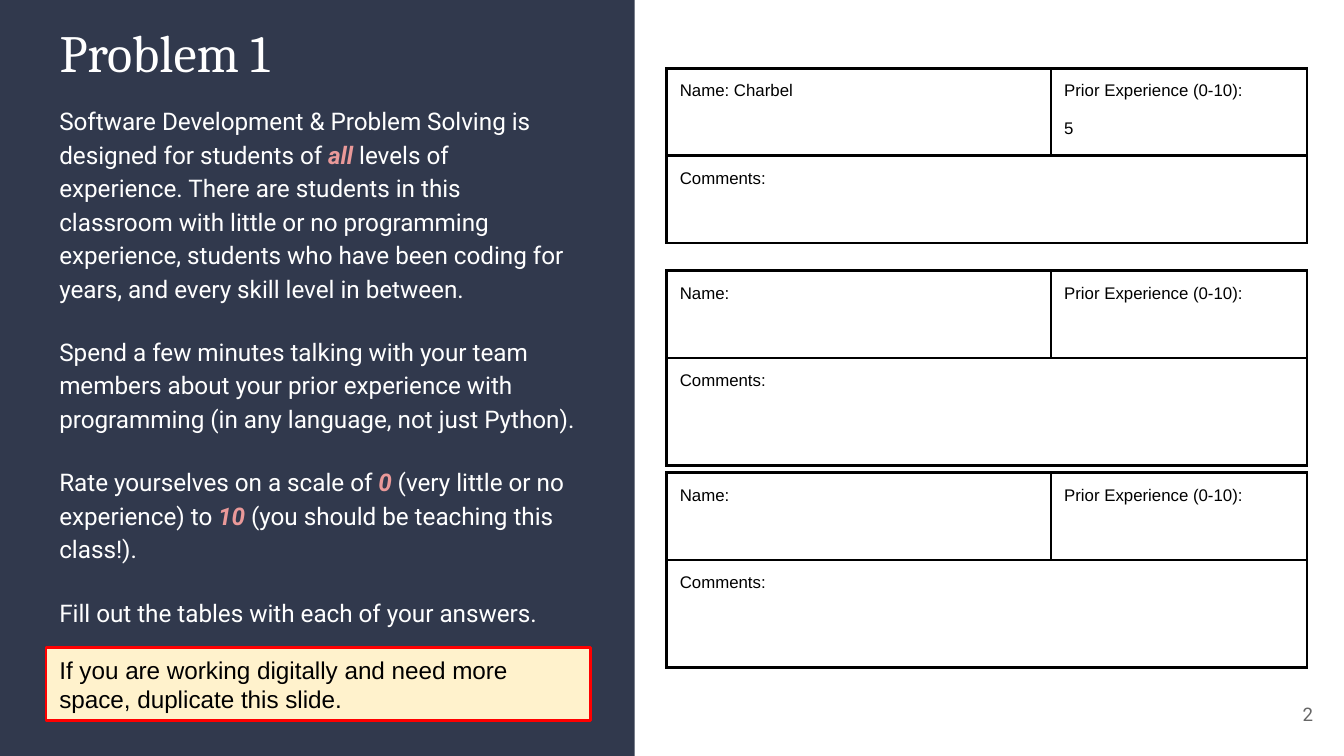
from lxml.etree import SubElement
from pptx import Presentation
from pptx.dml.color import RGBColor
from pptx.enum.shapes import MSO_SHAPE as SHAPE
from pptx.enum.text import MSO_ANCHOR as ANCHOR, MSO_AUTO_SIZE as AUTO, PP_ALIGN as ALIGN
from pptx.oxml import parse_xml
from pptx.oxml.ns import nsdecls, qn
from pptx.util import Pt

NAVY, WHITE, BLACK, PINK = "31394D", "FFFFFF", "000000", "EA9999"
CREAM, RED, GRAY = "FFF2CC", "FF0000", "666666"
INSET = 7.2

# Paragraphs are lists of (text, emphasized) pairs
BODY = [
    [("Software Development & Problem Solving is designed for students of ", False),
     ("all ", True),
     ("levels of experience. There are students in this classroom with little or no "
      "programming experience, students who have been coding for years, and every "
      "skill level in between.", False)],
    [("Spend a few minutes talking with your team members about your prior experience "
      "with programming (in any language, not just Python).", False)],
    [("Rate yourselves on a scale of ", False), ("0", True),
     (" (very little or no experience) to ", False), ("10", True),
     (" (you should be teaching this class!).", False)],
    [("Fill out the tables with each of your answers.", False)],
]

# Name, experience and height of the comments row
CARDS = [("Charbel", "5", 46.8), ("", "", 57.6), ("", "", 57.6)]


def rgb(color):
    return RGBColor.from_string(color)


def add_run(p, text, font="Arial", size=13, color=BLACK, bold=False, italic=False):
    r = p.add_run()
    r.text = text
    r.font.name, r.font.size = font, Pt(size)
    r.font.color.rgb = rgb(color)
    r.font.bold, r.font.italic = bold, italic


def set_frame(tf, anchor=ANCHOR.TOP):
    tf.word_wrap = True
    tf.auto_size = AUTO.NONE
    tf.vertical_anchor = anchor
    tf.margin_left = tf.margin_right = tf.margin_top = tf.margin_bottom = Pt(INSET)
    return tf


def add_box(slide, box, fill, line=None):
    sp = slide.shapes.add_shape(SHAPE.RECTANGLE, *map(Pt, box))
    sp.shadow.inherit = False
    sp.fill.solid()
    sp.fill.fore_color.rgb = rgb(fill)
    if line:
        sp.line.color.rgb = rgb(line)
        sp.line.width = Pt(1.5)
    else:
        sp.line.fill.background()
    return sp


def add_title(slide, box, text):
    sp = slide.shapes.title
    sp.left, sp.top, sp.width, sp.height = map(Pt, box)
    p = set_frame(sp.text_frame).paragraphs[0]
    p.alignment = ALIGN.LEFT
    add_run(p, text, font="Cambria", size=28, color=WHITE)


def add_body(slide, box):
    tf = set_frame(slide.shapes.add_textbox(*map(Pt, box)).text_frame)
    for i, parts in enumerate(BODY):
        p = tf.add_paragraph() if i else tf.paragraphs[0]
        p.line_spacing = 1.15
        p.space_before = Pt(16 if i else 0)
        for text, strong in parts:
            add_run(p, text, font="Roboto", color=PINK if strong else WHITE,
                    bold=strong, italic=strong)


def add_note(slide, box, text):
    sp = add_box(slide, box, CREAM, RED)
    p = set_frame(sp.text_frame, ANCHOR.MIDDLE).paragraphs[0]
    p.alignment = ALIGN.LEFT
    add_run(p, text)


def add_page_number(slide, box, text):
    sp = slide.shapes.add_textbox(*map(Pt, box))
    p = set_frame(sp.text_frame, ANCHOR.MIDDLE).paragraphs[0]
    p.alignment = ALIGN.RIGHT
    add_run(p, text, font="Roboto", size=10, color=GRAY)


def set_borders(cell):
    tc_pr = cell._tc.get_or_add_tcPr()
    for i, side in enumerate(("lnL", "lnR", "lnT", "lnB")):
        ln = parse_xml(f'<a:{side} {nsdecls("a")} w="{Pt(1.5)}"/>')
        fill = SubElement(ln, qn("a:solidFill"))
        SubElement(fill, qn("a:srgbClr"), val=BLACK)
        tc_pr.insert(i, ln)


def fill_cell(cell, *lines):
    cell.margin_left = cell.margin_right = cell.margin_top = cell.margin_bottom = Pt(INSET)
    tf = cell.text_frame
    for i, text in enumerate(lines):
        p = tf.add_paragraph() if i else tf.paragraphs[0]
        p.space_before = Pt(10 if i else 0)
        add_run(p, text, size=9)


def add_card(slide, box, name, experience, comments_height):
    left, top, width, name_height = box
    frame = slide.shapes.add_table(2, 2, Pt(left), Pt(top), Pt(width),
                                   Pt(name_height + comments_height))
    table = frame.table
    table.first_row = table.horz_banding = False
    for col, share in zip(table.columns, (0.6, 0.4)):
        col.width = Pt(width * share)
    for row, height in zip(table.rows, (name_height, comments_height)):
        row.height = Pt(height)
    for cell in table.iter_cells():
        cell.fill.background()
        set_borders(cell)
    table.cell(1, 0).merge(table.cell(1, 1))

    fill_cell(table.cell(0, 0), f"Name: {name}".strip())
    answer = [experience] if experience else []
    fill_cell(table.cell(0, 1), "Prior Experience (0-10):", *answer)
    fill_cell(table.cell(1, 0), "Comments:")


def main():
    prs = Presentation()
    prs.slide_width, prs.slide_height = Pt(720), Pt(405)
    slide = prs.slides.add_slide(prs.slide_layouts[5])

    # Dark panel, moved behind the title
    panel = add_box(slide, (0, 0, 340, 405), NAVY)
    slide.shapes.title._element.addprevious(panel._element)

    # Left column
    left, width = 24.7, 291.6
    add_title(slide, (left, 3.6, width, 50.4), "Problem 1")
    add_body(slide, (left, 47.5, width, 296))
    add_note(slide, (left, 346.8, width, 39.4),
             "If you are working digitally and need more space, duplicate this slide.")

    # Answer cards at an even pitch
    for i, card in enumerate(CARDS):
        add_card(slide, (357, 36.6 + i * 108.3, 343.2, 46.8), *card)

    add_page_number(slide, (667.4, 367.2, 43.2, 31), "2")
    prs.save("out.pptx")


if __name__ == "__main__":
    main()
